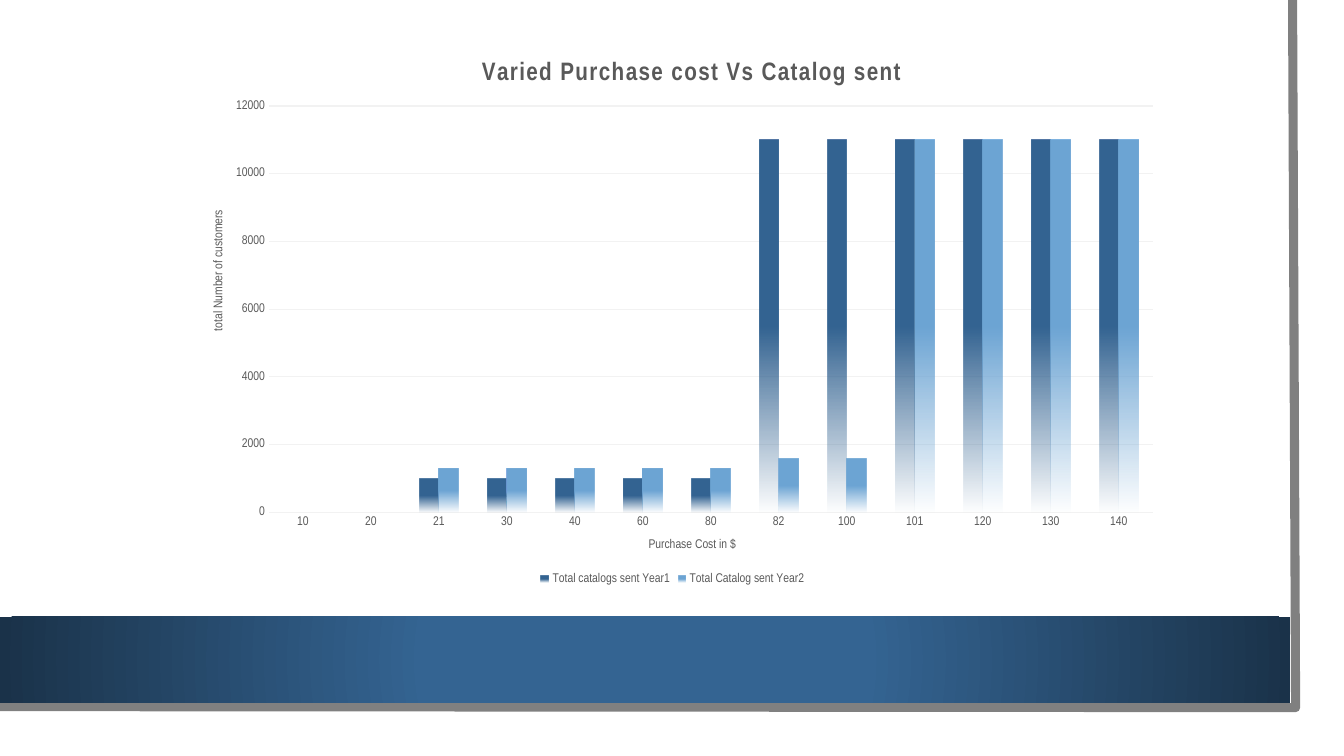
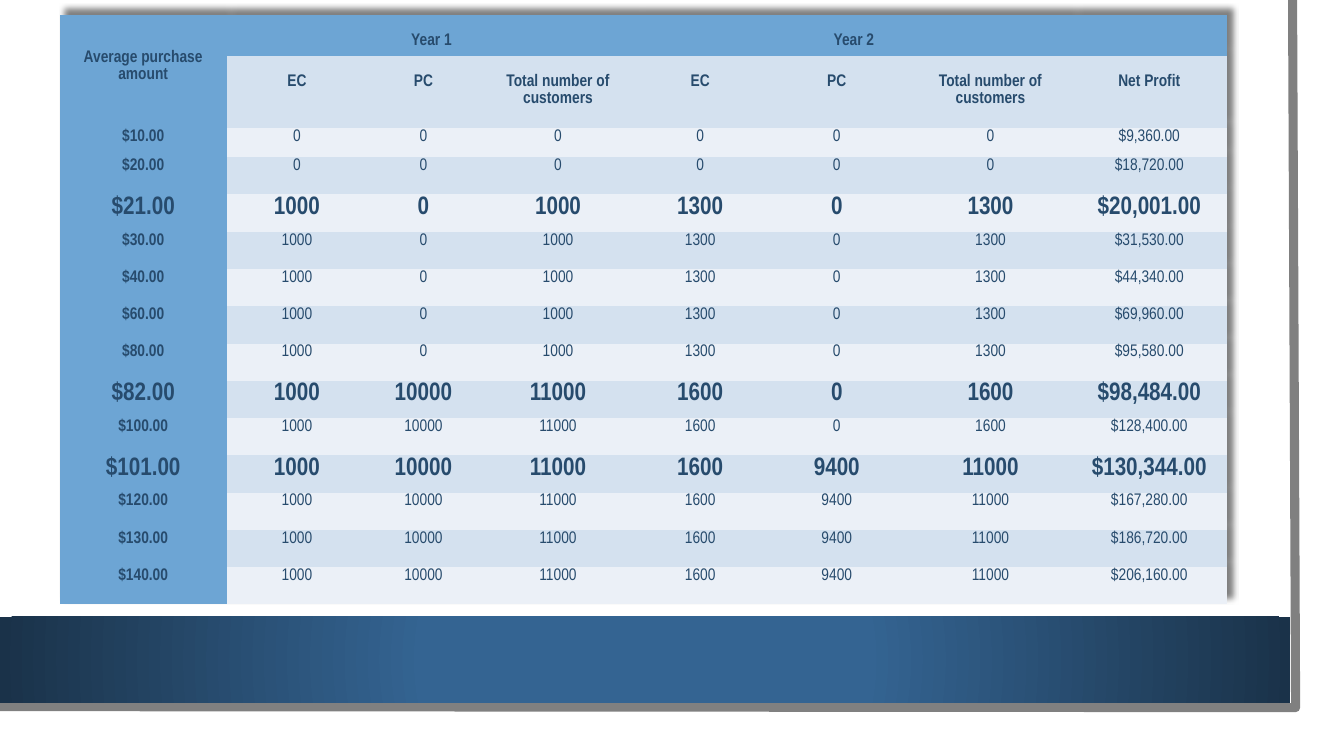
from dataclasses import dataclass

from pptx import Presentation
from pptx.chart.data import CategoryChartData
from pptx.dml.color import RGBColor
from pptx.enum.chart import XL_CHART_TYPE, XL_LEGEND_POSITION, XL_TICK_MARK
from pptx.enum.shapes import MSO_SHAPE
from pptx.enum.text import PP_ALIGN
from pptx.oxml import parse_xml
from pptx.oxml.ns import nsdecls, qn
from pptx.util import Inches, Pt


@dataclass(frozen=True)
class Theme:
    font: str = "Arial Narrow"
    blue: str = "346492"
    sky: str = "6DA5D4"
    navy: str = "1A3249"
    ink: str = "274B6D"
    band_dark: str = "D4E1EF"
    band_light: str = "EBF0F7"
    gray: str = "595959"
    edge: str = "808080"
    grid: str = "F2F2F2"
    title: int = 18
    body: int = 12
    label: int = 9


THEME = Theme()
NO_TABLE_STYLE = "{2D5ABB26-0587-4C30-8999-92F81FD0307C}"

# Price, then EC and PC of year 1, EC and PC of year 2, net profit
RESULTS = [
    (10, 0, 0, 0, 0, 9360),
    (20, 0, 0, 0, 0, 18720),
    (21, 1000, 0, 1300, 0, 20001),
    (30, 1000, 0, 1300, 0, 31530),
    (40, 1000, 0, 1300, 0, 44340),
    (60, 1000, 0, 1300, 0, 69960),
    (80, 1000, 0, 1300, 0, 95580),
    (82, 1000, 10000, 1600, 0, 98484),
    (100, 1000, 10000, 1600, 0, 128400),
    (101, 1000, 10000, 1600, 9400, 130344),
    (120, 1000, 10000, 1600, 9400, 167280),
    (130, 1000, 10000, 1600, 9400, 186720),
    (140, 1000, 10000, 1600, 9400, 206160),
]
KEY_PRICES = (21, 82, 101)


def rgb(value):
    return RGBColor.from_string(value)


def set_font(font, size, color, bold=False):
    font.name, font.size, font.bold = THEME.font, Pt(size), bold
    font.color.rgb = rgb(color)


def write(frame, text, size=THEME.body, color=THEME.ink, bold=False,
          align=PP_ALIGN.CENTER, line_spacing=None, tracking=None):
    para = frame.paragraphs[0]
    para.alignment = align
    if line_spacing:
        para.line_spacing = line_spacing
    span = para.add_run()
    span.text = text
    set_font(span.font, size, color, bold)
    if tracking:
        span._r.get_or_add_rPr().set("spc", str(tracking))


def paint_gradient(fill, properties, stops, direction):
    """Stops are (percent, colour, opacity percent)."""
    fill.gradient()
    marks = "".join(
        f'<a:gs pos="{place * 1000}"><a:srgbClr val="{color}">'
        f'<a:alpha val="{opacity * 1000}"/></a:srgbClr></a:gs>'
        for place, color, opacity in stops)
    gradient = parse_xml(f'<a:gradFill {nsdecls("a")} rotWithShape="1">'
                         f'<a:gsLst>{marks}</a:gsLst>{direction}</a:gradFill>')
    properties.replace(properties.find(qn("a:gradFill")), gradient)


# Frame shared by all slides
def add_frame(page, left, top, width, height):
    """Draw the gray edge and the blue band, and move them to the layout."""
    right, bottom = left + width, top + height
    builder = page.shapes.build_freeform(right - Inches(0.03), top)
    builder.add_line_segments(
        [(right, bottom), (left, bottom - Inches(0.01))], close=False)
    edge = builder.convert_to_shape()
    edge.shadow.inherit = False
    edge.fill.background()
    edge.line.color.rgb = rgb(THEME.edge)
    edge.line.width = Pt(6.5)

    band = page.shapes.add_shape(MSO_SHAPE.RECTANGLE, 0, bottom - Inches(0.9),
                                 Inches(12.8), Inches(0.85))
    band.shadow.inherit = False
    band.line.fill.background()
    paint_gradient(
        band.fill, band.element.spPr,
        [(34, THEME.blue, 100), (100, THEME.navy, 100)],
        '<a:path path="circle"><a:fillToRect l="50000" t="50000" '
        'r="50000" b="50000"/></a:path>')
    for shape in (edge, band):
        page.slide_layout.element.cSld.spTree.append(shape.element)


# Chart slide
def place_part(part, inner=False, **shares):
    """Fix a chart part at x, y (w, h) given as shares of the chart."""
    for old in part.findall(qn("c:layout")):
        part.remove(old)
    target = '<c:layoutTarget val="inner"/>' if inner else ""
    modes = '<c:xMode val="edge"/><c:yMode val="edge"/>'
    values = "".join(f'<c:{key} val="{share}"/>' for key, share in shares.items())
    layout = parse_xml(f'<c:layout {nsdecls("c")}><c:manualLayout>'
                       f'{target}{modes}{values}</c:manualLayout></c:layout>')
    leaders = (qn("c:tx"), qn("c:legendPos"))
    part.insert(sum(child.tag in leaders for child in part), layout)


def format_axis(axis, title):
    axis.major_tick_mark = axis.minor_tick_mark = XL_TICK_MARK.NONE
    axis.format.line.fill.background()
    set_font(axis.tick_labels.font, THEME.label, THEME.gray)
    write(axis.axis_title.text_frame, title, size=THEME.label, color=THEME.gray)


def add_catalog_chart(page, left, top, width, height):
    data = CategoryChartData()
    data.categories = [str(row[0]) for row in RESULTS]
    data.add_series("Total catalogs sent Year1", [row[1] + row[2] for row in RESULTS])
    data.add_series("Total Catalog sent Year2", [row[3] + row[4] for row in RESULTS])
    chart = page.shapes.add_chart(XL_CHART_TYPE.COLUMN_CLUSTERED,
                                  left, top, width, height, data).chart
    set_font(chart.font, THEME.label, THEME.gray)
    write(chart.chart_title.text_frame, "Varied Purchase cost Vs Catalog sent",
          size=THEME.title, color=THEME.gray, bold=True, tracking=100)

    # Axes
    format_axis(chart.category_axis, "Purchase Cost in $")
    value_axis = chart.value_axis
    format_axis(value_axis, "total Number of customers")
    value_axis.minimum_scale, value_axis.maximum_scale = 0, 12000
    value_axis.major_unit = 2000
    grid = value_axis.major_gridlines.format.line
    grid.color.rgb, grid.width = rgb(THEME.grid), Pt(0.75)

    # Columns fading towards the base
    plot = chart.plots[0]
    plot.gap_width, plot.overlap, plot.vary_by_categories = 150, 0, False
    for series, color in zip(plot.series, (THEME.blue, THEME.sky)):
        paint_gradient(series.format.fill, series.format.element.get_or_add_spPr(),
                       [(50, color, 100), (100, color, 0)],
                       '<a:lin ang="5400000" scaled="0"/>')

    # Legend and places of the parts
    chart.has_legend = True
    chart.legend.position = XL_LEGEND_POSITION.BOTTOM
    chart.legend.include_in_layout = False
    set_font(chart.legend.font, THEME.label, THEME.gray)
    root = chart.element
    value_title = root.xpath("c:chart/c:plotArea/c:valAx/c:title")[0]
    value_title.find(".//" + qn("a:bodyPr")).set("rot", "-5400000")
    place_part(value_title, x=0.03, y=0.3)
    place_part(root.xpath("c:chart/c:plotArea/c:catAx/c:title")[0], x=0.47, y=0.88)
    place_part(root.xpath("c:chart/c:title")[0], x=0.3, y=0.03)
    place_part(root.xpath("c:chart/c:legend")[0], x=0.36, y=0.94)
    place_part(root.xpath("c:chart/c:plotArea")[0], inner=True,
               x=0.09, y=0.12, w=0.89, h=0.72)


# Table slide
def fill_cell(cell, text, fill, lines_above=0, **text_format):
    cell.fill.solid()
    cell.fill.fore_color.rgb = rgb(fill)
    cell.margin_left = cell.margin_right = Inches(0.04)
    cell.margin_top = Inches(0.17 * lines_above)
    cell.margin_bottom = 0
    if text:
        write(cell.text_frame, text, line_spacing=1.07, **text_format)


def style_table(table):
    table.first_row = table.horz_banding = False
    properties = table._tbl.tblPr
    properties.find(qn("a:tableStyleId")).text = NO_TABLE_STYLE
    properties.insert(0, parse_xml(
        f'<a:effectLst {nsdecls("a")}><a:outerShdw blurRad="50800" dist="76200" '
        'dir="18900000" algn="bl" rotWithShape="0"><a:srgbClr val="000000">'
        '<a:alpha val="50000"/></a:srgbClr></a:outerShdw></a:effectLst>'))


def add_profit_table(page, left, top, width, height):
    columns = [1.66, 1.39, 1.12, 1.55, 1.27, 1.44, 1.61, 1.54]
    rows = [0.41, 0.71, 0.29] + [0.37] * (len(RESULTS) - 1)
    table = page.shapes.add_table(len(rows), len(columns),
                                  left, top, width, height).table
    style_table(table)
    for column, size in zip(table.columns, columns):
        column.width = Inches(size)
    for row, size in zip(table.rows, rows):
        row.height = Inches(size)

    # Two header rows
    table.cell(0, 0).merge(table.cell(1, 0))
    fill_cell(table.cell(0, 0), "Average purchase amount", THEME.sky,
              lines_above=2, bold=True)
    for first, year in ((1, "Year 1"), (4, "Year 2")):
        table.cell(0, first).merge(table.cell(0, first + 2))
        fill_cell(table.cell(0, first), year, THEME.sky, lines_above=1, bold=True)
    fill_cell(table.cell(0, 7), "", THEME.sky)
    headings = ["EC", "PC", "Total number of customers"] * 2 + ["Net Profit"]
    for index, heading in enumerate(headings, start=1):
        fill_cell(table.cell(1, index), heading, THEME.band_dark,
                  lines_above=1, bold=True)

    # One row for each price
    for index, (price, ec1, pc1, ec2, pc2, profit) in enumerate(RESULTS):
        key = price in KEY_PRICES
        band = THEME.band_dark if index % 2 else THEME.band_light
        texts = [f"${price:.2f}", ec1, pc1, ec1 + pc1,
                 ec2, pc2, ec2 + pc2, f"${profit:,.2f}"]
        for place, text in enumerate(texts):
            fill_cell(table.cell(index + 2, place), str(text),
                      band if place else THEME.sky,
                      size=THEME.title if key else THEME.body,
                      bold=key or place == 0)


def main():
    deck = Presentation()
    deck.slide_width, deck.slide_height = Inches(13.33), Inches(7.5)
    blank = deck.slide_layouts[6]

    chart_page = deck.slides.add_slide(blank)
    add_frame(chart_page, Inches(-0.03), 0, Inches(12.88), Inches(7.02))
    add_catalog_chart(chart_page, Inches(1.78), Inches(0.38),
                      Inches(9.85), Inches(5.6))

    table_page = deck.slides.add_slide(blank)
    add_profit_table(table_page, Inches(0.59), Inches(0.15),
                     Inches(11.58), Inches(5.86))
    deck.save("out.pptx")


if __name__ == "__main__":
    main()
